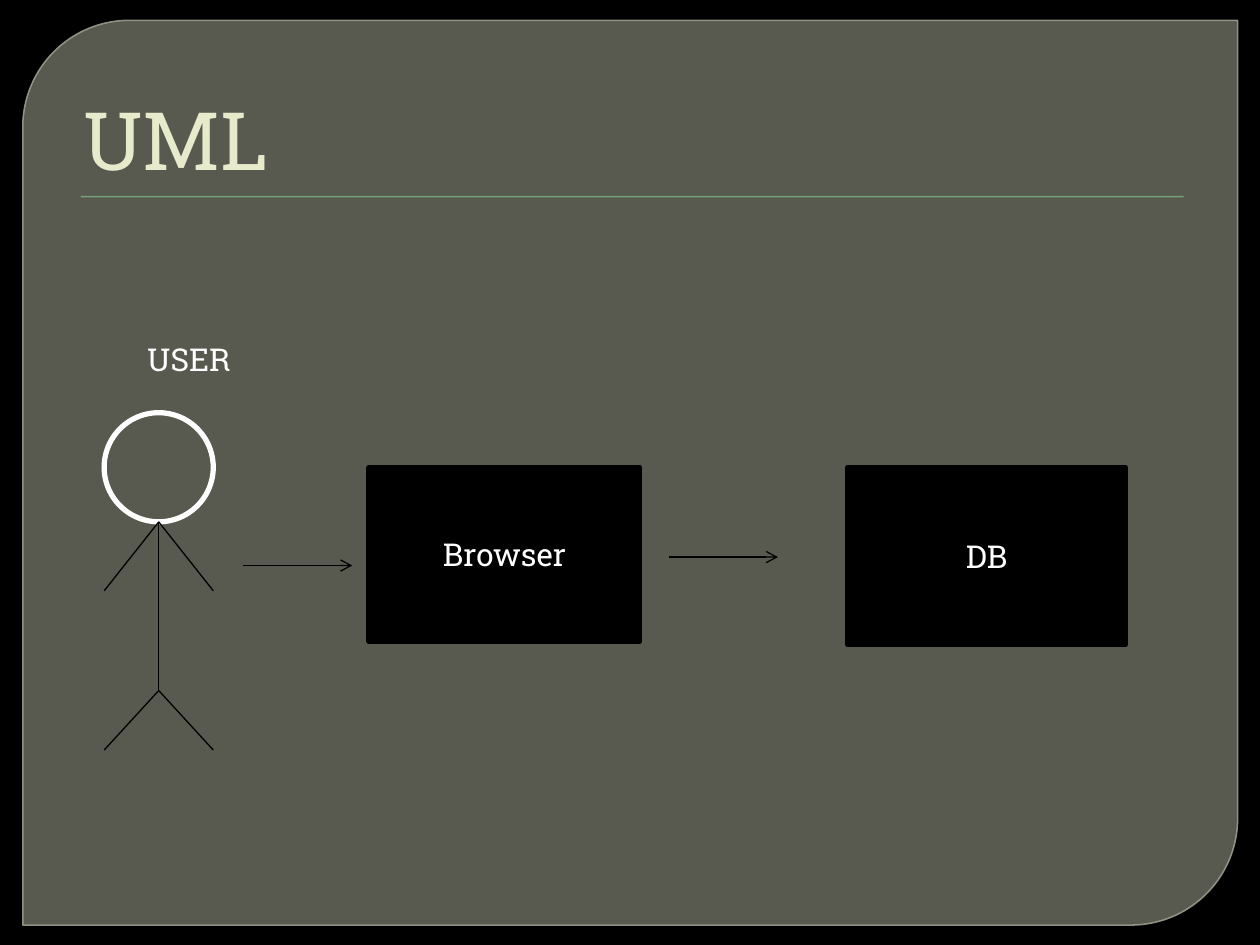
from lxml import etree
from pptx import Presentation
from pptx.dml.color import RGBColor
from pptx.enum.shapes import MSO_CONNECTOR, MSO_SHAPE
from pptx.enum.text import MSO_ANCHOR, PP_ALIGN
from pptx.oxml.ns import qn
from pptx.util import Cm, Pt

STRAIGHT = MSO_CONNECTOR.STRAIGHT
RECTANGLE, OVAL = MSO_SHAPE.RECTANGLE, MSO_SHAPE.OVAL
PANEL = MSO_SHAPE.ROUND_2_DIAG_RECTANGLE
LEFT, CENTER, RIGHT = PP_ALIGN.LEFT, PP_ALIGN.CENTER, PP_ALIGN.RIGHT
TOP, MIDDLE, BOTTOM = MSO_ANCHOR.TOP, MSO_ANCHOR.MIDDLE, MSO_ANCHOR.BOTTOM

BLACK = RGBColor(0x00, 0x00, 0x00)
WHITE = RGBColor(0xFF, 0xFF, 0xFF)
PANEL_FILL = RGBColor(0x88, 0x8B, 0x7B)
PANEL_EDGE = RGBColor(0x9D, 0xA0, 0x90)
GREEN = RGBColor(0x72, 0xA3, 0x76)
CREAM = RGBColor(0xE7, 0xEA, 0xCB)
FONT = "Roboto Slab"


def set_opacity(element, percent):
    color = next(element.iter(qn("a:srgbClr")))
    etree.SubElement(color, qn("a:alpha"), val=str(percent * 1000))


def write(shape, text, size, color, align, anchor):
    frame = shape.text_frame
    frame.word_wrap = True
    frame.vertical_anchor = anchor
    para = frame.paragraphs[0]
    para.alignment = align
    span = para.add_run()
    span.text = text
    span.font.name = FONT
    span.font.size = Pt(size)
    span.font.color.rgb = color
    return para


def add_box(page, kind, left, top, width, height, fill=None, edge=None, weight=3):
    box = page.shapes.add_shape(kind, Cm(left), Cm(top), Cm(width), Cm(height))
    box.shadow.inherit = False
    if fill is None:
        box.fill.background()
    else:
        box.fill.solid()
        box.fill.fore_color.rgb = fill
    if edge is None:
        box.line.fill.background()
    else:
        box.line.color.rgb = edge
        box.line.width = Pt(weight)
    return box


def add_line(page, x1, y1, x2, y2, arrow=False):
    line = page.shapes.add_connector(STRAIGHT, Cm(x1), Cm(y1), Cm(x2), Cm(y2))
    line.line.color.rgb = BLACK
    line.line.width = Pt(0.75)
    if arrow:
        etree.SubElement(line.line._get_or_add_ln(), qn("a:tailEnd"), type="arrow")
    properties = line.element.find(qn("p:spPr"))
    etree.SubElement(properties, qn("a:effectLst"))


def add_backdrop(page, left, top, width, height):
    page.background.fill.solid()
    page.background.fill.fore_color.rgb = BLACK
    panel = add_box(page, PANEL, left, top, width, height, PANEL_FILL, PANEL_EDGE, 0.87)
    panel.adjustments[0] = 0.118
    panel.adjustments[1] = 0
    properties = panel.element.find(qn("p:spPr"))
    set_opacity(properties.find(qn("a:solidFill")), 65)
    set_opacity(properties.find(qn("a:ln")), 88)
    add_box(page, RECTANGLE, left + 1.17, top + 3.54, 22.23, 0.03, GREEN)


def add_title(page, left, top, width, height):
    title = page.shapes.title
    title.left, title.top = Cm(left), Cm(top)
    title.width, title.height = Cm(width), Cm(height)
    para = write(title, "UML", 46, CREAM, LEFT, BOTTOM)
    properties = para._p.get_or_add_pPr()
    properties.set("marL", str(Cm(0.15)))
    properties.set("indent", "0")
    title.element.getparent().append(title.element)


def add_actor(page, left, top, width, height):
    middle, right = left + width / 2, left + width
    neck, hip = top + width, top + 5.6
    add_box(page, OVAL, left, top, width, width, edge=WHITE)
    add_line(page, middle, neck, middle, hip)
    for joint, end in ((neck, neck + 1.39), (hip, top + height)):
        for side in (right, left):
            add_line(page, middle, joint, side, end)


def add_flow(page, left, top):
    for name, offset, width, height in (("Browser", 0, 5.46, 3.51), ("DB", 9.65, 5.6, 3.58)):
        box = add_box(page, RECTANGLE, left + offset, top, width, height, BLACK, BLACK)
        write(box, name, 18, WHITE, CENTER, MIDDLE)
    for offset, drop in ((6.04, 1.81), (-2.54, 1.98)):
        start, level = left + offset, top + drop
        add_line(page, start, level, start + 2.2, level, arrow=True)


def add_label(page, left, top, width, height):
    label = page.shapes.add_textbox(Cm(left), Cm(top), Cm(width), Cm(height))
    write(label, "USER", 18, WHITE, RIGHT, TOP)


def main():
    deck = Presentation()
    deck.slide_width, deck.slide_height = Cm(25.4), Cm(19.05)
    page = deck.slides.add_slide(deck.slide_layouts[5])
    add_backdrop(page, 0.46, 0.41, 24.49, 18.24)
    add_title(page, 1.27, 0.71, 22.86, 3.18)
    add_actor(page, 2.1, 8.32, 2.2, 6.8)
    add_flow(page, 7.44, 9.42)
    add_label(page, 2.64, 6.73, 2.26, 1.02)
    deck.save("out.pptx")


if __name__ == "__main__":
    main()
